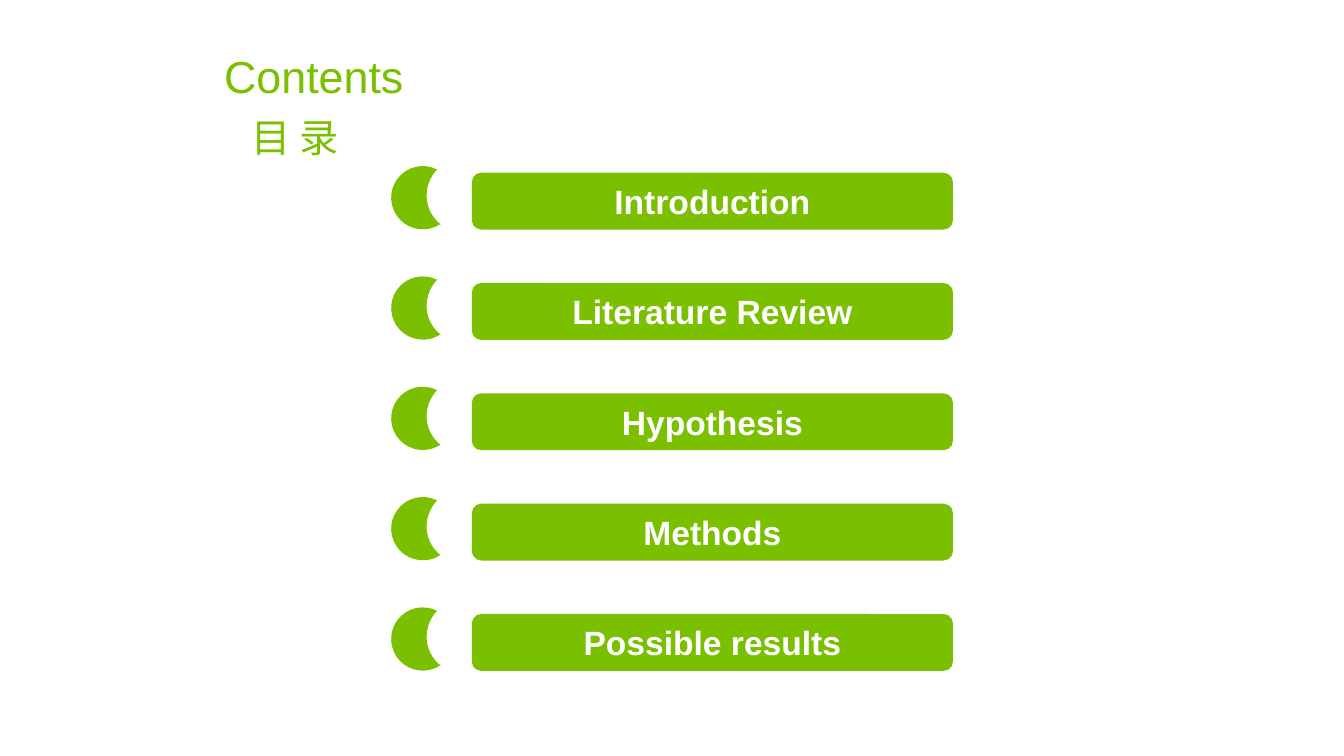
"""Build a contents slide with five topic bars, each grouped with a crescent."""
import math
import lxml.etree
import pptx
import pptx.dml.color
import pptx.enum.shapes
import pptx.enum.text
import pptx.oxml.ns
import pptx.util

Pt = pptx.util.Pt
qn = pptx.oxml.ns.qn
GREEN, WHITE = "7ABF00", "FFFFFF"
HEADINGS = [
    ("Contents", 32, (153, 31, 166.3, 46)),
    ("目 录", 28, (172.8, 77.4, 92.2, 41)),
]
TOPICS = ["Introduction", "Literature Review", "Hypothesis", "Methods", "Possible results"]
BAR_LEFT, BAR_TOP, BAR_WIDTH, BAR_HEIGHT = 337, 123.4, 343.7, 40.6
ROW_PITCH = 78.8
MOON_LEFT, MOON_RISE, MOON_WIDTH, MOON_HEIGHT = 279.3, 4.6, 44, 44.6
MOON_ROTATION = 212.7
OUTER_ARC = (0.7, 0.1, 22.6, 56.5, 296.7, 3)
INNER_ARC = (29.6, -1.5, 26.2, 224.2, 127, 2)


def color(value):
    return pptx.dml.color.RGBColor.from_string(value)


def style_text(text_frame, text, size, text_color, bold=False):
    text_frame.word_wrap = True
    paragraph = text_frame.paragraphs[0]
    paragraph.text = text
    paragraph.font.name = "Arial"
    paragraph.font.size = Pt(size)
    paragraph.font.bold = bold
    paragraph.font.color.rgb = color(text_color)
    return paragraph


def paint(shape):
    shape.shadow.inherit = False
    shape.fill.solid()
    shape.fill.fore_color.rgb = color(GREEN)
    shape.line.fill.background()


def frame_point(x, y):
    turn = math.radians(-MOON_ROTATION)
    return (
        Pt(MOON_WIDTH / 2 + x * math.cos(turn) - y * math.sin(turn)),
        Pt(MOON_HEIGHT / 2 + x * math.sin(turn) + y * math.cos(turn)),
    )


def arc_curves(center_x, center_y, radius, start, end, count):
    step = math.radians(end - start) / count
    handle = 4 / 3 * math.tan(step / 4)

    def place(angle, tangent):
        return frame_point(
            center_x + radius * (math.cos(angle) - tangent * math.sin(angle)),
            center_y + radius * (math.sin(angle) + tangent * math.cos(angle)),
        )

    angles = [math.radians(start) + step * index for index in range(count + 1)]
    curves = [
        ("a:cubicBezTo", [place(first, handle), place(last, -handle), place(last, 0)])
        for first, last in zip(angles, angles[1:])
    ]
    return place(angles[0], 0), curves


def add_bar(shapes, topic, top):
    bar = shapes.add_shape(
        pptx.enum.shapes.MSO_SHAPE.ROUNDED_RECTANGLE,
        *map(Pt, (BAR_LEFT, top, BAR_WIDTH, BAR_HEIGHT)),
    )
    paint(bar)
    bar.text_frame.vertical_anchor = pptx.enum.text.MSO_ANCHOR.MIDDLE
    paragraph = style_text(bar.text_frame, topic, 24, WHITE, bold=True)
    paragraph.alignment = pptx.enum.text.PP_ALIGN.CENTER


def add_crescent(shapes, top):
    left, right = Pt(MOON_LEFT), Pt(MOON_LEFT + MOON_WIDTH)
    upper, lower = Pt(top), Pt(top + MOON_HEIGHT)
    builder = shapes.build_freeform(left, upper)
    builder.add_line_segments([(right, upper), (right, lower), (left, lower)])
    crescent = builder.convert_to_shape()
    crescent.rotation = MOON_ROTATION
    paint(crescent)

    outline = crescent._element.find(".//" + qn("a:path"))
    for segment in list(outline):
        outline.remove(segment)
    outer_start, outer_curves = arc_curves(*OUTER_ARC)
    inner_start, inner_curves = arc_curves(*INNER_ARC)
    commands = [("a:moveTo", [outer_start]), *outer_curves, *inner_curves, ("a:close", [])]
    for tag, points in commands:
        command = lxml.etree.SubElement(outline, qn(tag))
        for x, y in points:
            lxml.etree.SubElement(command, qn("a:pt"), x=str(int(x)), y=str(int(y)))


presentation = pptx.Presentation()
presentation.slide_width, presentation.slide_height = Pt(960), Pt(540)
slide = presentation.slides.add_slide(presentation.slide_layouts[6])

for text, size, box in HEADINGS:
    heading = slide.shapes.add_textbox(*map(Pt, box))
    style_text(heading.text_frame, text, size, GREEN)

for row, topic in enumerate(TOPICS):
    row_top = BAR_TOP + row * ROW_PITCH
    group = slide.shapes.add_group_shape()
    add_bar(group.shapes, topic, row_top)
    add_crescent(group.shapes, row_top - MOON_RISE)

presentation.save("out.pptx")
